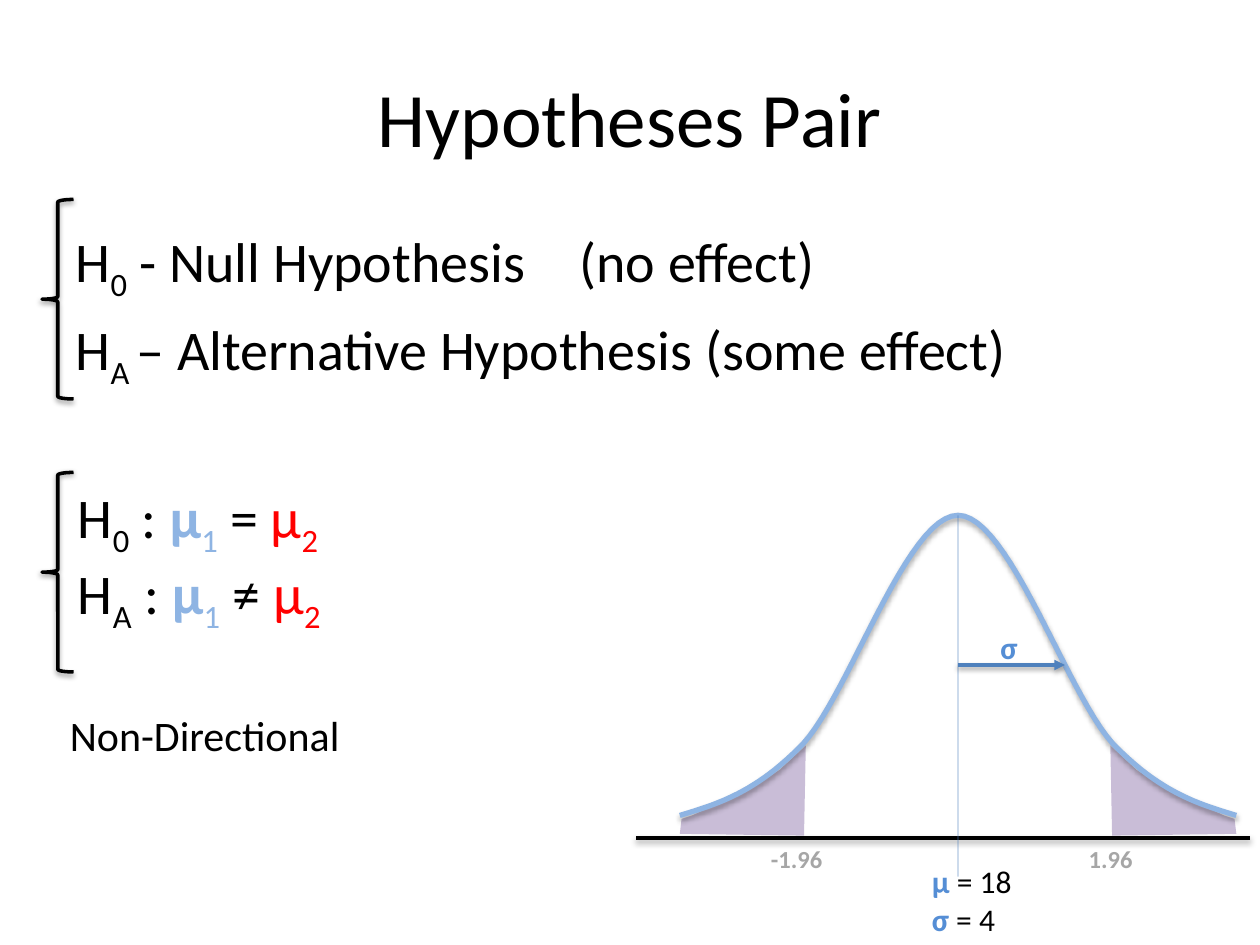
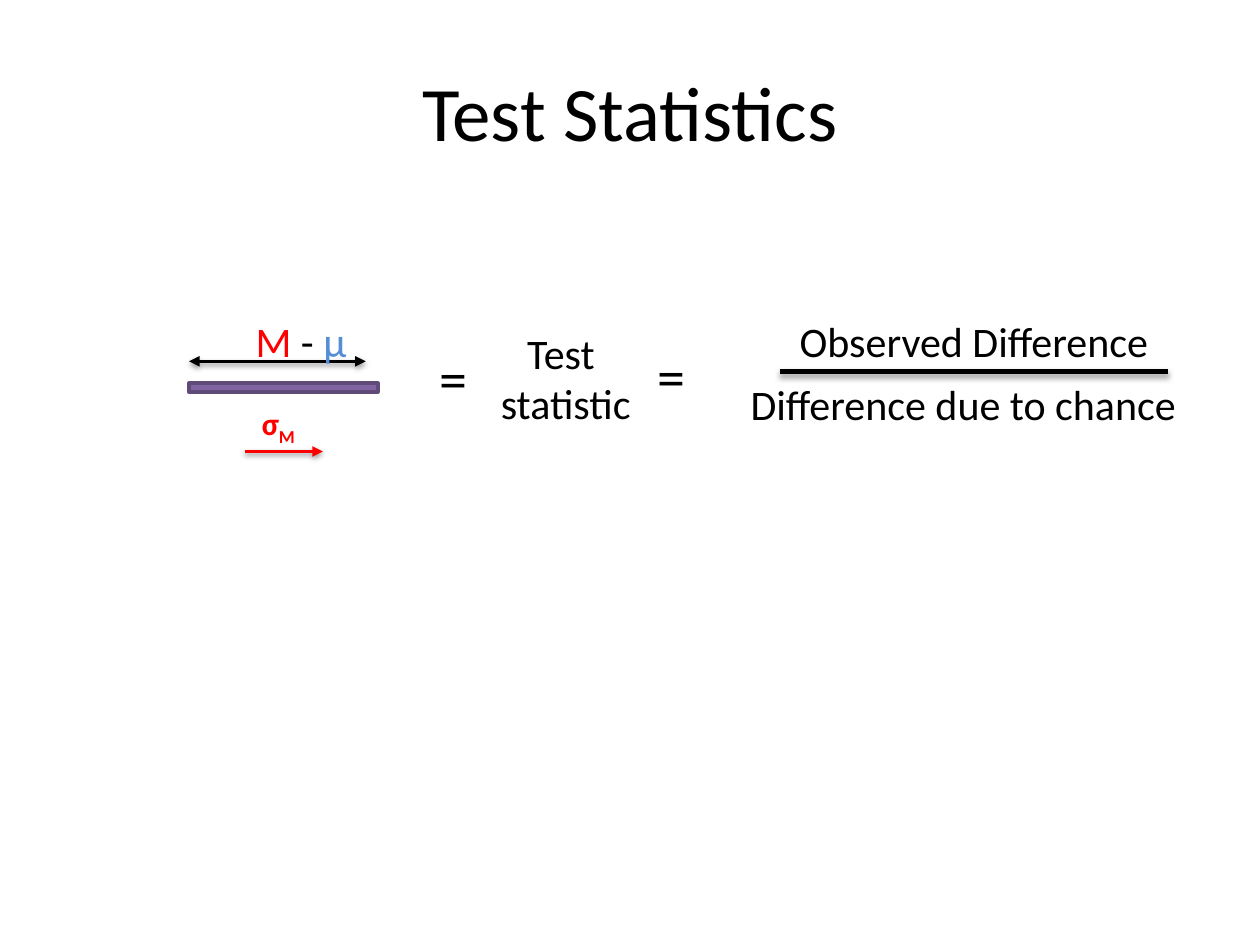
from typing import NamedTuple

from lxml.etree import SubElement
from pptx import Presentation
from pptx.dml.color import RGBColor
from pptx.enum.shapes import MSO_CONNECTOR, MSO_SHAPE
from pptx.enum.text import MSO_ANCHOR, PP_ALIGN
from pptx.oxml.ns import qn
from pptx.util import Pt

FONT = "Calibri"
BLACK = "000000"
RED = "FF0000"
BLUE = "558ED5"
LIGHT_BLUE = "8EB4E3"
GRAY = "A6A6A6"
PURPLE = "8064A2"
DARK_PURPLE = "5F4A78"
LILAC = "B3A2C7"

TITLE_AND_CONTENT, TITLE_ONLY = 1, 5
SOFT_SHADOW = (38, 1.6)  # opacity in percent, distance in points
DEEP_SHADOW = (35, 1.8)

CURVE_AXIS = 547.5
# Distance from the curve axis, height on the slide
TAIL_OUTLINE = [(88, 477.5), (87, 426), (102, 440), (113, 447), (126, 454.5),
                (139, 460), (152, 466), (158, 468), (159, 476.5)]
BELL_CONTROLS = [(159, 466), (137.5, 459.5), (115.5, 453), (88.5, 425),
                 (62, 396), (29, 294.5), (0, 294.5)]


class Part(NamedTuple):
    """A piece of text; without a colour it takes that of its paragraph."""
    text: str
    color: str = None
    bold: bool = False
    subscript: bool = False


def sub(text, color=None, bold=False):
    return Part(text, color, bold, subscript=True)


def rgb(color):
    return RGBColor.from_string(color)


def set_alpha(color_parent, percent):
    color = color_parent.find(qn("a:solidFill"))[0]
    SubElement(color, qn("a:alpha"), val=str(percent * 1000))


def set_shadow(shape, shadow):
    """Replace the theme's shadow by a downward one, or by none."""
    properties = shape._element.spPr
    effects = properties.find(qn("a:effectLst"))
    if effects is None:
        effects = SubElement(properties, qn("a:effectLst"))
    if shadow:
        opacity, distance = shadow
        outer = SubElement(effects, qn("a:outerShdw"), blurRad=str(Pt(3.1)),
                           dist=str(Pt(distance)), dir="5400000", rotWithShape="0")
        color = SubElement(outer, qn("a:srgbClr"), val=BLACK)
        SubElement(color, qn("a:alpha"), val=str(opacity * 1000))


def style_shape(shape, fill=None, line=None, width=2, shadow=None):
    if fill:
        shape.fill.solid()
        shape.fill.fore_color.rgb = rgb(fill)
    else:
        shape.fill.background()
    if line:
        shape.line.color.rgb = rgb(line)
        shape.line.width = Pt(width)
    else:
        shape.line.fill.background()
    shape.shadow.inherit = False
    set_shadow(shape, shadow)


def write_paragraph(paragraph, parts, size, color=BLACK, align=PP_ALIGN.LEFT):
    paragraph.alignment = align
    paragraph.font.name = FONT
    paragraph.font.size = Pt(size)
    paragraph.font.color.rgb = rgb(color)
    for part in parts:
        run = paragraph.add_run()
        run.text = part.text
        if part.color:
            run.font.color.rgb = rgb(part.color)
        if part.bold:
            run.font.bold = True
        if part.subscript:
            run.font._element.set("baseline", "-25000")


def place(shape, left, top, width, height):
    shape.left, shape.top = Pt(left), Pt(top)
    shape.width, shape.height = Pt(width), Pt(height)


def add_titled_slide(presentation, layout, title, top):
    slide = presentation.slides.add_slide(presentation.slide_layouts[layout])
    shape = slide.shapes.title
    place(shape, 36, top, 648, 90)
    shape.text_frame.vertical_anchor = MSO_ANCHOR.MIDDLE
    write_paragraph(shape.text_frame.paragraphs[0], [Part(title)], 44,
                    align=PP_ALIGN.CENTER)
    return slide


def add_text(slide, box, lines, size, color=BLACK, align=PP_ALIGN.LEFT, wrap=True):
    """Add a text box; each line is a list of parts."""
    frame = slide.shapes.add_textbox(*map(Pt, box)).text_frame
    frame.word_wrap = wrap
    for index, parts in enumerate(lines):
        paragraph = frame.add_paragraph() if index else frame.paragraphs[0]
        write_paragraph(paragraph, parts, size, color, align)


def add_line(slide, start, end, color, width=2, shadow=SOFT_SHADOW, arrows=(), alpha=None):
    line = slide.shapes.add_connector(MSO_CONNECTOR.STRAIGHT, *map(Pt, start + end))
    line.line.color.rgb = rgb(color)
    line.line.width = Pt(width)
    outline = line._element.spPr.find(qn("a:ln"))
    if alpha:
        set_alpha(outline, alpha)
    for arrow in arrows:
        SubElement(outline, qn("a:" + arrow), type="triangle")
    set_shadow(line, shadow)


def add_brace(slide, top):
    brace = slide.shapes.add_shape(MSO_SHAPE.LEFT_BRACE, Pt(24), Pt(top), Pt(18), Pt(114))
    style_shape(brace, line=BLACK, shadow=SOFT_SHADOW)


def add_outline(slide, points, close):
    points = [(Pt(x), Pt(y)) for x, y in points]
    builder = slide.shapes.build_freeform(*points[0])
    builder.add_line_segments(points[1:], close=close)
    return builder.convert_to_shape()


def bezier_points(controls, steps=24):
    """Sample a chain of cubic curves."""
    points = [controls[0]]
    for first in range(0, len(controls) - 1, 3):
        for step in range(1, steps + 1):
            t = step / steps
            weights = ((1 - t) ** 3, 3 * t * (1 - t) ** 2, 3 * t * t * (1 - t), t ** 3)
            segment = controls[first:first + 4]
            points.append(tuple(sum(weight * point[axis] for weight, point
                                    in zip(weights, segment)) for axis in (0, 1)))
    return points


def add_bell_curve(slide):
    for side in (-1, 1):
        outline = [(CURVE_AXIS + side * offset, y) for offset, y in TAIL_OUTLINE]
        tail = add_outline(slide, outline, close=True)
        style_shape(tail, fill=LILAC)
        set_alpha(tail._element.spPr, 70)
    add_line(slide, (363.5, 479), (714.5, 479), BLACK)
    left_half = bezier_points(BELL_CONTROLS)
    bell_points = [(CURVE_AXIS - offset, y) for offset, y in left_half]
    bell_points += [(CURVE_AXIS + offset, y) for offset, y in left_half[-2::-1]]
    bell = add_outline(slide, bell_points, close=False)
    style_shape(bell, line=LIGHT_BLUE, width=3, shadow=DEEP_SHADOW)
    add_line(slide, (CURVE_AXIS, 294.5), (CURVE_AXIS, 501), "4B7EBC",
             width=0.75, shadow=None, alpha=42)


def add_hypothesis_list(slide):
    """Fill the body with unbulleted lines, each with a tabbed remark."""
    body = slide.placeholders[1]
    place(body, 36, 126, 648, 356.5)
    lines = [
        ([Part("H"), sub("0"), Part(" - Null Hypothesis\t(no effect)")], 461),
        ([Part("H"), sub("A "), Part("– Alternative Hypothesis\t(some effect)")], 454),
    ]
    for index, (parts, tab) in enumerate(lines):
        frame = body.text_frame
        paragraph = frame.add_paragraph() if index else frame.paragraphs[0]
        properties = paragraph._p.get_or_add_pPr()
        properties.set("marL", "0")
        properties.set("indent", "0")
        SubElement(properties, qn("a:buNone"))
        tabs = SubElement(properties, qn("a:tabLst"))
        SubElement(tabs, qn("a:tab"), pos=str(Pt(tab)), algn="l")
        paragraph.space_before = Pt(6.4 if index else 0)
        write_paragraph(paragraph, parts, 32)


def mean_comparison(label, sign):
    return [Part("H"), sub(label), Part(" : "), Part("µ", LIGHT_BLUE, True),
            sub("1", LIGHT_BLUE), Part(f" {sign} "), Part("µ", RED), sub("2", RED)]


def add_hypotheses_slide(presentation):
    slide = add_titled_slide(presentation, TITLE_AND_CONTENT, "Hypotheses Pair", 21.5)
    add_hypothesis_list(slide)
    for top in (114, 270):
        add_brace(slide, top)
    add_text(slide, (37.5, 272, 196.5, 124),
             [mean_comparison("0", "="), mean_comparison("A", "≠")], 32)
    add_text(slide, (24, 402, 186, 36), [[Part("Non-Directional")]], 24,
             align=PP_ALIGN.CENTER)

    add_bell_curve(slide)
    add_text(slide, (525.5, 489, 66, 51),
             [[Part("µ", BLUE, True), Part(" = 18")],
              [Part("σ", BLUE, True), Part(" = 4")]], 18)
    add_line(slide, (547.5, 380), (608.5, 380), "4F81BD", arrows=["tailEnd"])
    add_text(slide, (564.5, 355.5, 26.5, 29), [[Part("σ", bold=True)]], 18, BLUE, wrap=False)
    for left, cutoff in ((433.5, "-1.96"), (615, "1.96")):
        add_text(slide, (left, 478.5, 66, 24.5), [[Part(cutoff, bold=True)]], 14, GRAY)


def add_statistics_slide(presentation):
    slide = add_titled_slide(presentation, TITLE_ONLY, "Test Statistics", 18)
    add_line(slide, (209, 206.5), (108, 206.5), BLACK, arrows=["headEnd", "tailEnd"])
    add_text(slide, (137, 176.5, 70, 36),
             [[Part("M", RED), Part(" - "), Part("µ", BLUE)]], 24, align=PP_ALIGN.CENTER)
    add_line(slide, (140, 258), (184.5, 258), RED, arrows=["tailEnd"])
    add_text(slide, (142.5, 227.5, 35, 29),
             [[Part("σ", bold=True), sub("M", bold=True)]], 18, RED, wrap=False)
    fraction_bar = slide.shapes.add_shape(MSO_SHAPE.RECTANGLE,
                                          Pt(108), Pt(219), Pt(108), Pt(5))
    style_shape(fraction_bar, fill=PURPLE, line=DARK_PURPLE)

    add_text(slide, (278.5, 183.5, 89.5, 65.5), [[Part("Test ")], [Part("statistic")]], 24,
             align=PP_ALIGN.CENTER, wrap=False)
    for left, top in ((244, 193), (368.5, 191.5)):
        add_text(slide, (left, top, 42, 46), [[Part("=")]], 32)
    add_line(slide, (445.5, 212.5), (667.5, 212.5), BLACK, width=3, shadow=DEEP_SHADOW)
    for box, label in (((445.5, 177, 222, 36), "Observed Difference"),
                       ((409.5, 212.5, 282, 36), "Difference due to chance")):
        add_text(slide, box, [[Part(label)]], 24, align=PP_ALIGN.CENTER)


def main():
    presentation = Presentation()
    presentation.slide_width, presentation.slide_height = Pt(720), Pt(540)
    add_hypotheses_slide(presentation)
    add_statistics_slide(presentation)
    presentation.save("out.pptx")


if __name__ == "__main__":
    main()
